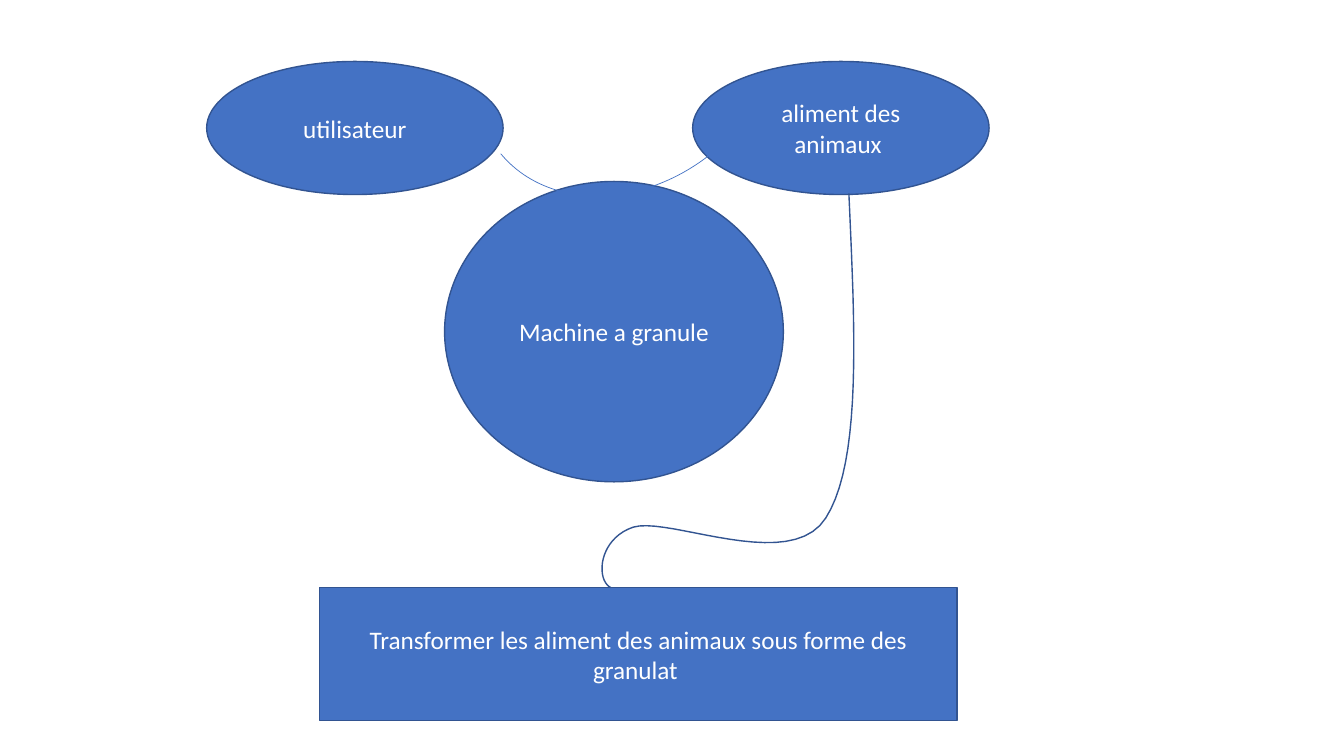
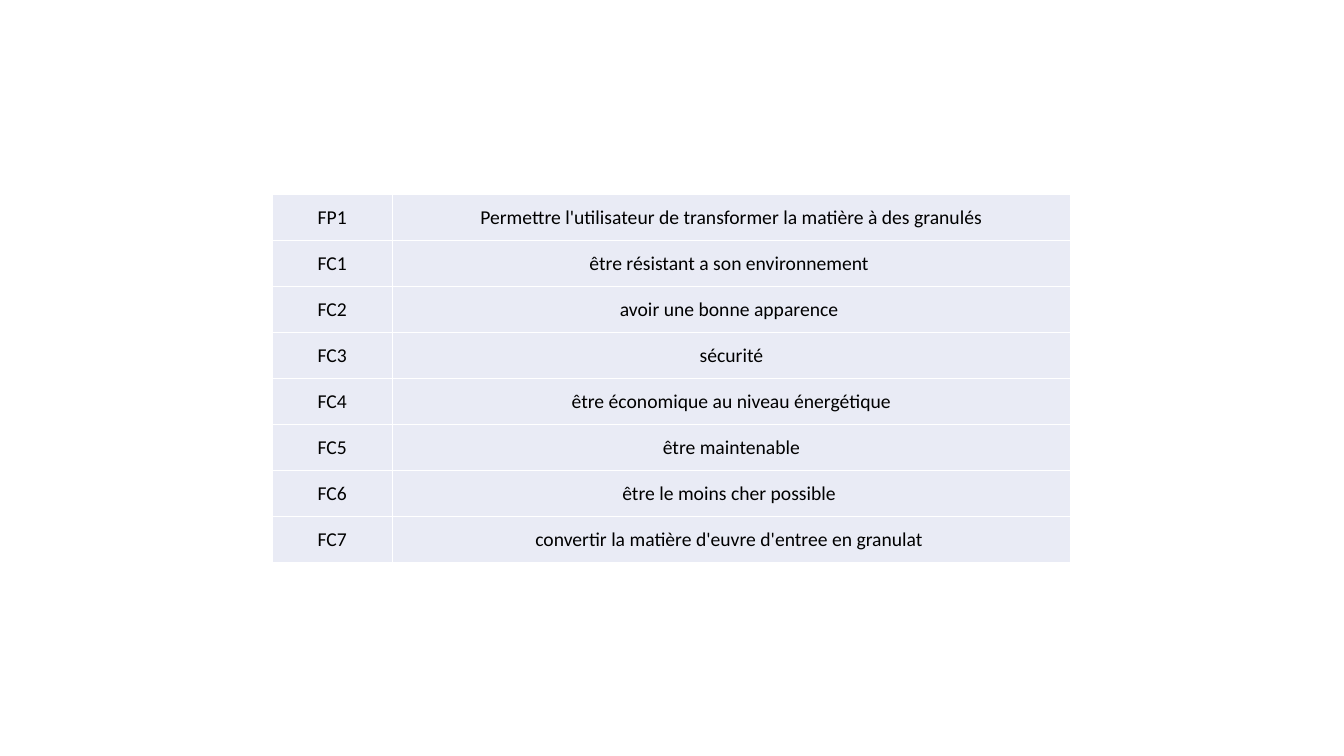
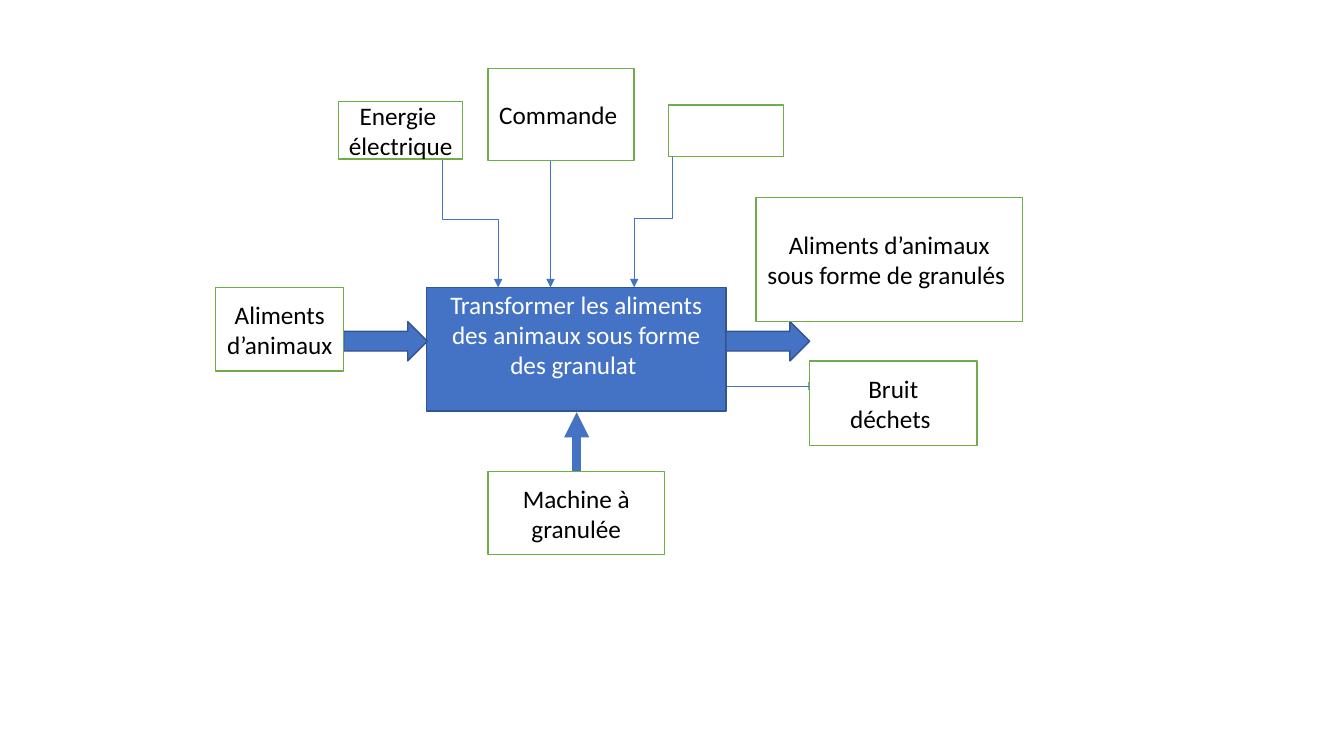
from dataclasses import dataclass

from lxml import etree
from pptx import Presentation
from pptx.dml.color import RGBColor
from pptx.enum.shapes import MSO_CONNECTOR, MSO_SHAPE
from pptx.enum.text import MSO_ANCHOR, PP_ALIGN
from pptx.oxml.ns import qn
from pptx.util import Inches, Pt

ELLIPSE, RECT = MSO_SHAPE.OVAL, MSO_SHAPE.RECTANGLE
ARC, BLOCK_ARROW = MSO_SHAPE.ARC, MSO_SHAPE.RIGHT_ARROW
STRAIGHT, ELBOW = MSO_CONNECTOR.STRAIGHT, MSO_CONNECTOR.ELBOW
CENTER, MIDDLE, TOP = PP_ALIGN.CENTER, MSO_ANCHOR.MIDDLE, MSO_ANCHOR.TOP


@dataclass(frozen=True)
class Theme:
    blue: str = "4472C4"
    dark_blue: str = "325491"
    green: str = "70AD47"
    pale: str = "E9EBF5"
    white: str = "FFFFFF"
    black: str = "000000"
    font: str = "Calibri"
    body: int = 18
    table: int = 14
    outline: float = 1
    thin: float = 0.5
    thick: float = 6


THEME = Theme()

# Content: need diagram (left, top, width, height)
NEEDS = [
    ("utilisateur", ELLIPSE, (2.05, 0.61, 2.94, 1.32)),
    ("aliment des animaux ", ELLIPSE, (6.87, 0.61, 2.94, 1.32)),
    ("Machine a granule", ELLIPSE, (4.41, 1.8, 3.36, 2.98)),
    ("Transformer les aliment des animaux sous forme des granulat ", RECT,
     (3.17, 5.83, 6.32, 1.32)),
]
USER_ARC = (4.59, -0.85, 3.28, 2.66)
USER_ARC_ANGLE = 140.4
GOAL_START = (8.42, 1.92)
GOAL_CURVES = [
    ((8.48, 3.25), (8.55, 4.58), (8.19, 5.14)),
    ((7.84, 5.69), (6.64, 5.12), (6.28, 5.23)),
    ((5.93, 5.35), (5.91, 5.76), (6.06, 5.83)),
]
CURVE_STEPS = 20

# Content: functions table
FUNCTIONS = [
    ("FP1", "Permettre l'utilisateur de transformer la matière à des granulés"),
    ("FC1", "être résistant a son environnement "),
    ("FC2", "avoir une bonne apparence "),
    ("FC3", "sécurité"),
    ("FC4", "être économique au niveau énergétique"),
    ("FC5", "être maintenable"),
    ("FC6", "être le moins cher possible "),
    ("FC7", "convertir la matière d'euvre d'entree en granulat "),
]
TABLE_AT = (2.7, 1.93)
COLUMN_WIDTHS = (1.19, 6.73)
ROW_HEIGHT = 0.456

# Content: process diagram
PROCESS = "Transformer les aliments des animaux sous forme des granulat "
PROCESS_AT = (4.23, 2.85, 2.97, 1.23)
FLOW_LEFTS = (3.41, 7.2)
FLOW_TOP, FLOW_WIDTH, FLOW_HEIGHT = 3.19, 0.83, 0.39
LINKS = [
    ((5.72, 4.67), (5.72, 4.09), THEME.thick),
    ((4.39, 1.5), (4.94, 2.85), THEME.thin),
    ((6.67, 1.48), (6.29, 2.85), THEME.thin),
    ((5.46, 1.5), (5.46, 2.85), THEME.thin),
    ((7.21, 3.83), (8.1, 3.83), THEME.thin),
]
LABELS = [
    ("Aliments d’animaux ", (2.14, 2.85, 1.27, 0.83)),
    ("Aliments d’animaux sous forme de granulés ", (7.5, 1.96, 2.64, 1.23)),
    ("Machine à granulée", (4.84, 4.68, 1.75, 0.82)),
    ("Energie \nélectrique", (3.36, 1.01, 1.23, 0.57)),
    ("Commande ", (4.84, 0.68, 1.45, 0.91)),
    ("", (6.63, 1.04, 1.14, 0.51)),
    ("Bruit\ndéchets ", (8.03, 3.58, 1.66, 0.84)),
]


def rgb(color):
    return RGBColor.from_string(color)


def write(frame, text, *, size=THEME.body, color=THEME.white, align=CENTER):
    frame.word_wrap = True
    for index, line in enumerate(text.split("\n")):
        paragraph = frame.add_paragraph() if index else frame.paragraphs[0]
        paragraph.alignment = align
        run = paragraph.add_run()
        run.text = line
        run.font.name, run.font.size = THEME.font, Pt(size)
        run.font.color.rgb = rgb(color)


def style(shape, fill, line, width=THEME.outline):
    shape.shadow.inherit = False
    if fill:
        shape.fill.solid()
        shape.fill.fore_color.rgb = rgb(fill)
    else:
        shape.fill.background()
    shape.line.color.rgb = rgb(line)
    shape.line.width = Pt(width)


def add_box(slide, preset, at, text="", *, fill=THEME.blue,
            line=THEME.dark_blue, width=THEME.outline, color=THEME.white):
    shape = slide.shapes.add_shape(preset, *map(Inches, at))
    style(shape, fill, line, width)
    if text:
        shape.text_frame.vertical_anchor = MIDDLE
        write(shape.text_frame, text, color=color)
    return shape


def add_arrow(slide, start, end, width):
    (x1, y1), (x2, y2) = start, end
    bent = x1 != x2 and y1 != y2
    if bent:
        # An elbow that leaves downwards is a sideways one, turned about its centre
        mid_x, mid_y = (x1 + x2) / 2, (y1 + y2) / 2
        rightward = x2 > x1
        reach = (y2 - y1) / 2 * (1 if rightward else -1)
        half_drop = abs(x2 - x1) / 2
        x1, y1 = mid_x + reach, mid_y - half_drop
        x2, y2 = mid_x - reach, mid_y + half_drop
    arrow = slide.shapes.add_connector(
        ELBOW if bent else STRAIGHT, *map(Inches, (x1, y1, x2, y2)))
    arrow.line.color.rgb = rgb(THEME.blue)
    arrow.line.width = Pt(width)
    properties = arrow.element.spPr
    if bent:
        properties.find(qn("a:xfrm")).set("rot", str((270 if rightward else 90) * 60000))
    etree.SubElement(properties.find(qn("a:ln")), qn("a:tailEnd"), type="triangle")
    etree.SubElement(properties, qn("a:effectLst"))


def curve_points(start, curves):
    points = [start]
    for control_1, control_2, end in curves:
        anchors = list(zip(points[-1], control_1, control_2, end))
        for step in range(1, CURVE_STEPS + 1):
            t = step / CURVE_STEPS
            u = 1 - t
            points.append(tuple(
                u**3 * a + 3 * u * u * t * b + 3 * u * t * t * c + t**3 * d
                for a, b, c, d in anchors))
    return points


def border_cell(cell, color, width):
    properties = cell._tc.get_or_add_tcPr()
    for side in ("lnL", "lnR", "lnT", "lnB"):
        edge = etree.SubElement(properties, qn("a:" + side), w=str(Pt(width)))
        solid = etree.SubElement(edge, qn("a:solidFill"))
        etree.SubElement(solid, qn("a:srgbClr"), val=color)


prs = Presentation()
prs.slide_width, prs.slide_height = Inches(13.33), Inches(7.5)
needs_slide, functions_slide, process_slide = (
    prs.slides.add_slide(prs.slide_layouts[6]) for _ in range(3))

# Need diagram
for text, preset, at in NEEDS:
    add_box(needs_slide, preset, at, text)
user_arc = add_box(needs_slide, ARC, USER_ARC, fill=None, line=THEME.blue,
                   width=THEME.thin)
user_arc.rotation = USER_ARC_ANGLE
first, *others = [(Inches(x), Inches(y))
                  for x, y in curve_points(GOAL_START, GOAL_CURVES)]
builder = needs_slide.shapes.build_freeform(*first)
builder.add_line_segments(others, close=False)
style(builder.convert_to_shape(), None, THEME.dark_blue)

# Functions table
table = functions_slide.shapes.add_table(
    len(FUNCTIONS), len(COLUMN_WIDTHS), *map(Inches, TABLE_AT),
    Inches(sum(COLUMN_WIDTHS)), Inches(ROW_HEIGHT * len(FUNCTIONS))).table
table.first_row = table.horz_banding = False
for column, width in zip(table.columns, COLUMN_WIDTHS):
    column.width = Inches(width)
for row, entries in zip(table.rows, FUNCTIONS):
    row.height = Inches(ROW_HEIGHT)
    for cell, text in zip(row.cells, entries):
        border_cell(cell, THEME.white, THEME.outline)
        cell.fill.solid()
        cell.fill.fore_color.rgb = rgb(THEME.pale)
        cell.vertical_anchor = MIDDLE
        cell.margin_left = cell.margin_right = cell.margin_top = Inches(0.01)
        cell.margin_bottom = 0
        write(cell.text_frame, text, size=THEME.table, color=THEME.black)

# Process diagram
process = add_box(process_slide, RECT, PROCESS_AT, PROCESS)
process.text_frame.vertical_anchor = TOP
process.text_frame.margin_top = Inches(0.02)
for left in FLOW_LEFTS:
    add_box(process_slide, BLOCK_ARROW, (left, FLOW_TOP, FLOW_WIDTH, FLOW_HEIGHT))
for start, end, width in LINKS:
    add_arrow(process_slide, start, end, width)
for text, at in LABELS:
    add_box(process_slide, RECT, at, text, fill=THEME.white, line=THEME.green,
            color=THEME.black)

prs.save("out.pptx")
